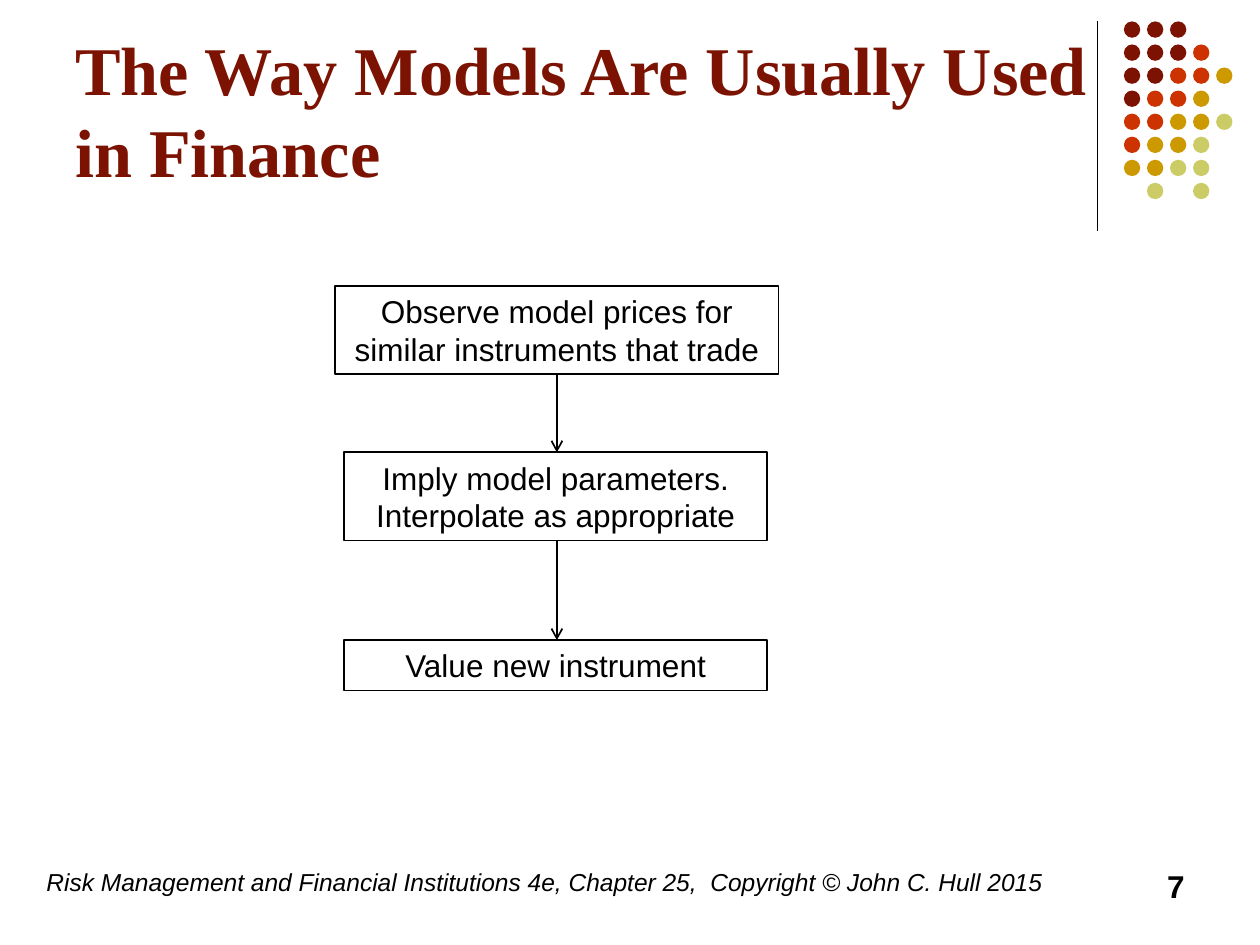
from lxml.etree import SubElement
from pptx import Presentation
from pptx.dml.color import RGBColor
from pptx.enum.shapes import MSO_CONNECTOR, MSO_SHAPE
from pptx.enum.text import MSO_ANCHOR, PP_ALIGN
from pptx.oxml.ns import qn
from pptx.util import Inches, Pt

COLORS = {"black": "000000", "white": "FFFFFF", "maroon": "7C1302",
          "red": "CC3300", "gold": "CC9900", "olive": "CCCC66"}

TITLE = "The Way Models Are Usually Used in Finance"
FOOTER = ("Risk Management and Financial Institutions 4e, Chapter 25,  "
          "Copyright © John C. Hull 2015")
PAGE_NUMBER = "7"

# Text, left, top, width, height
STEPS = [
    ("Observe model prices for similar instruments that trade", 2.66, 2.27, 3.52, 0.7),
    ("Imply model parameters. Interpolate as appropriate", 2.73, 3.59, 3.36, 0.7),
    ("Value new instrument", 2.73, 5.08, 3.36, 0.4),
]
ARROW_X = 4.42

# One letter per dot, one string per row
DOT_ROWS = ["MMM", "MMMR", "MMRRG", "MRRG", "RRGGO", "RGGO", "GGOO", " O O"]
DOT_COLORS = {"M": "maroon", "R": "red", "G": "gold", "O": "olive"}
DOT_LEFT, DOT_TOP, DOT_PITCH, DOT_SIZE = 8.92, 0.17, 0.183, 0.13


def rgb(color):
    return RGBColor.from_string(COLORS[color])


def write(shape, text, size, font="Arial", color="black", align=PP_ALIGN.LEFT,
          anchor=MSO_ANCHOR.TOP, bold=False, italic=False):
    frame = shape.text_frame
    frame.word_wrap = True
    frame.vertical_anchor = anchor
    paragraph = frame.paragraphs[0]
    paragraph.text = text
    paragraph.alignment = align
    paragraph.font.name = font
    paragraph.font.size = Pt(size)
    paragraph.font.bold = bold
    paragraph.font.italic = italic
    paragraph.font.color.rgb = rgb(color)
    return paragraph


def add_text(slide, text, box, size, **style):
    textbox = slide.shapes.add_textbox(*map(Inches, box))
    return textbox, write(textbox, text, size, **style)


def add_filled(slide, preset, box, fill):
    shape = slide.shapes.add_shape(preset, *map(Inches, box))
    shape.shadow.inherit = False
    shape.fill.solid()
    shape.fill.fore_color.rgb = rgb(fill)
    shape.line.fill.background()
    return shape


def add_line(slide, x, top, bottom, width, arrow=False):
    line = slide.shapes.add_connector(
        MSO_CONNECTOR.STRAIGHT, Inches(x), Inches(top), Inches(x), Inches(bottom))
    line.line.color.rgb = rgb("black")
    line.line.width = Pt(width)
    properties = line._element.spPr
    if arrow:
        SubElement(properties.find(qn("a:ln")), qn("a:tailEnd"), type="arrow")
    SubElement(properties, qn("a:effectLst"))


def add_dots(slide):
    for row, letters in enumerate(DOT_ROWS):
        for column, letter in enumerate(letters):
            if letter in DOT_COLORS:
                box = (DOT_LEFT + column * DOT_PITCH, DOT_TOP + row * DOT_PITCH,
                       DOT_SIZE, DOT_SIZE)
                add_filled(slide, MSO_SHAPE.OVAL, box, DOT_COLORS[letter])


def add_flow(slide):
    for text, *box in STEPS:
        step = add_filled(slide, MSO_SHAPE.RECTANGLE, box, "white")
        step.line.color.rgb = rgb("black")
        step.line.width = Pt(1)
        write(step, text, 18, align=PP_ALIGN.CENTER)
    for upper, lower in zip(STEPS, STEPS[1:]):
        add_line(slide, ARROW_X, upper[2] + upper[4], lower[2], 1, arrow=True)


def main():
    presentation = Presentation()
    presentation.slide_width = Inches(10)
    presentation.slide_height = Inches(7.5)
    slide = presentation.slides.add_slide(presentation.slide_layouts[6])

    add_line(slide, 8.71, 0.17, 1.83, 0.75)
    add_dots(slide)
    title, heading = add_text(slide, TITLE, (0.5, 0.13, 8.25, 1.42), 39,
                              font="Times New Roman", color="maroon",
                              anchor=MSO_ANCHOR.BOTTOM, bold=True)
    title.text_frame.margin_bottom = Inches(0.03)
    heading.line_spacing = Pt(47)
    add_text(slide, FOOTER, (0.27, 6.83, 8.27, 0.5), 14, italic=True)
    add_text(slide, PAGE_NUMBER, (7.17, 6.83, 2.33, 0.5), 18,
             align=PP_ALIGN.RIGHT, bold=True)
    add_flow(slide)
    presentation.save("out.pptx")


if __name__ == "__main__":
    main()
